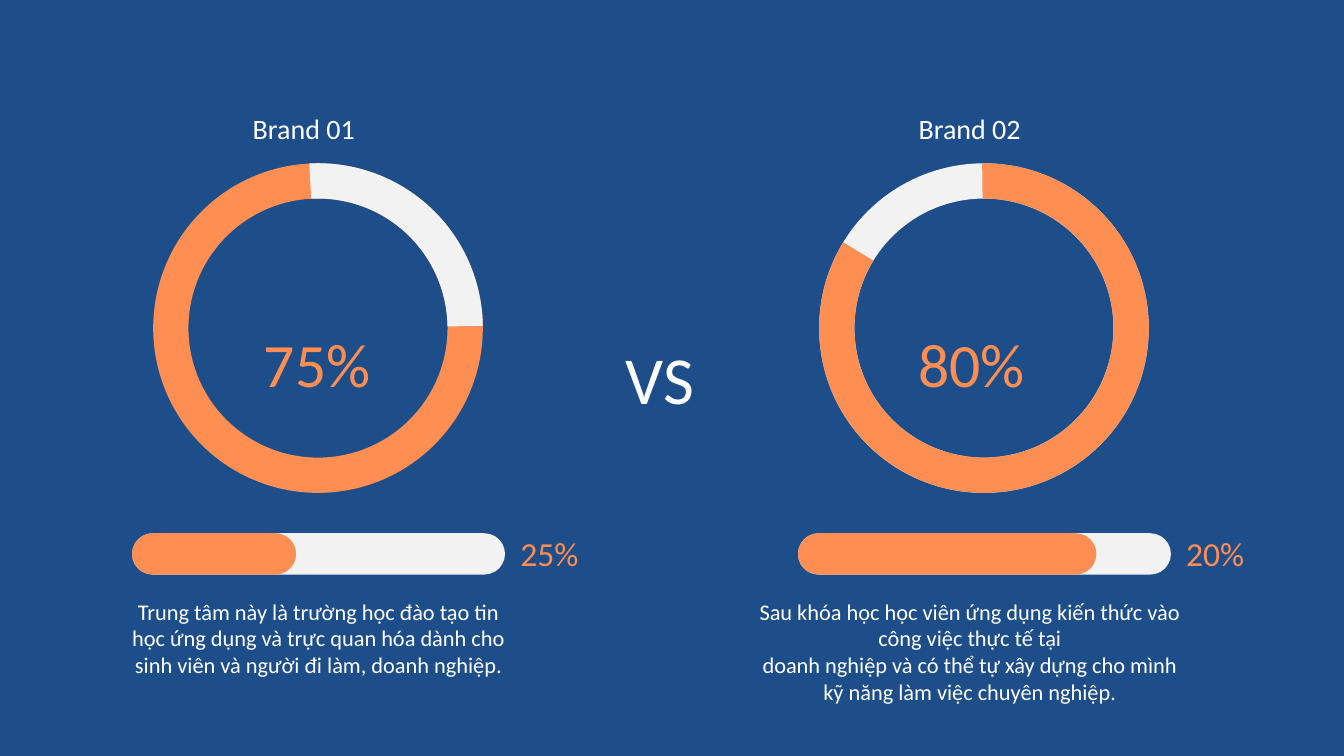
from dataclasses import dataclass

from pptx import Presentation
from pptx.dml.color import RGBColor
from pptx.enum.shapes import MSO_SHAPE as Preset
from pptx.enum.text import MSO_AUTO_SIZE as AutoSize, PP_ALIGN as Align
from pptx.util import Inches, Pt


@dataclass(frozen=True)
class Theme:
    font: str = "Calibri"
    navy: str = "1D4E89"
    orange: str = "FF8E52"
    light: str = "F2F2F2"
    white: str = "FFFFFF"
    body: int = 16
    label: int = 20
    share: int = 24
    figure: int = 44
    versus: int = 48


THEME = Theme()
WIDTH, HEIGHT = Inches(13.33), Inches(7.5)
COLUMNS, ROWS = 80, 45
RING_BAND = 0.107
DEGREE = 0.6  # adjustment units in one degree of a block arc


def write(frame, text, size, color, align=Align.LEFT):
    """Fill a text frame, one paragraph for each line of the text."""
    for index, line in enumerate(text.split("\n")):
        paragraph = frame.paragraphs[0] if index == 0 else frame.add_paragraph()
        paragraph.alignment = align
        run = paragraph.add_run()
        run.text = line
        run.font.name = THEME.font
        run.font.size = Pt(size)
        run.font.color.rgb = RGBColor.from_string(color)


class Board:
    """The current slide, measured in grid columns and rows."""

    def __init__(self, slide, theme):
        self.slide, self.theme = slide, theme
        fill = slide.background.fill
        fill.solid()
        fill.fore_color.rgb = RGBColor.from_string(theme.navy)

    def place(self, column, row, columns, rows):
        return (round(column * WIDTH / COLUMNS), round(row * HEIGHT / ROWS),
                round(columns * WIDTH / COLUMNS), round(rows * HEIGHT / ROWS))

    def shape(self, preset, area, color, adjustments):
        shape = self.slide.shapes.add_shape(preset, *self.place(*area))
        shape.shadow.inherit = False
        shape.fill.solid()
        shape.fill.fore_color.rgb = RGBColor.from_string(color)
        shape.line.fill.background()
        for index, value in enumerate(adjustments):
            shape.adjustments[index] = value

    def text(self, area, text, **style):
        frame = self.slide.shapes.add_textbox(*self.place(*area)).text_frame
        frame.word_wrap = True
        frame.auto_size = AutoSize.SHAPE_TO_FIT_TEXT
        write(frame, text, **style)

    def ring(self, area, base, arc, start, end):
        self.shape(Preset.DONUT, area, base, [RING_BAND])
        self.shape(Preset.BLOCK_ARC, area, arc,
                   [start * DEGREE, end * DEGREE, RING_BAND])

    def progress(self, column, row, columns, rows, share):
        for color, part in ((self.theme.light, 1), (self.theme.orange, share)):
            self.shape(Preset.ROUNDED_RECTANGLE,
                       (column, row, columns * part, rows), color, [0.5])


BRANDS = [
    dict(left=0, name="Brand 01", figure="75%", figure_column=15.12,
         base=THEME.orange, arc=THEME.light, start=266.99, end=359.26,
         filled=0.44, share="25%", about_column=6.54, about_columns=24.84,
         about="Trung tâm này là trường học đào tạo tin học ứng dụng và trực "
               "quan hóa dành cho sinh viên và người đi làm, doanh nghiệp."),
    dict(left=39.64, name="Brand 02", figure="80%", figure_column=14.42,
         base=THEME.light, arc=THEME.orange, start=269.38, end=211.36,
         filled=0.8, share="20%", about_column=4.95, about_columns=26.28,
         about="Sau khóa học học viên ứng dụng kiến thức vào công việc "
               "thực tế tại\n"
               "doanh nghiệp và có thể tự xây dựng cho mình kỹ năng làm việc "
               "chuyên nghiệp."),
]


def add_brand(board, brand):
    theme, left = board.theme, brand["left"]
    # Ring with its name and figure
    board.ring((left + 9.12, 9.72, 19.62, 19.62), brand["base"], brand["arc"],
               brand["start"], brand["end"])
    board.text((left + 14.45, 6.36, 9, 2.64), brand["name"],
               size=theme.label, color=theme.white)
    board.text((left + brand["figure_column"], 19.08, 9.5, 5.04),
               brand["figure"], size=theme.figure, color=theme.orange)
    # Progress bar with its share
    board.progress(left + 7.86, 31.74, 22.2, 2.46, brand["filled"])
    board.text((left + 30.38, 31.44, 5.75, 3), brand["share"],
               size=theme.share, color=theme.orange)
    # Description
    board.text((left + brand["about_column"], 35.28, brand["about_columns"], 7.08),
               brand["about"], size=theme.body, color=theme.white,
               align=Align.CENTER)


def main():
    deck = Presentation()
    deck.slide_width, deck.slide_height = WIDTH, HEIGHT
    board = Board(deck.slides.add_slide(deck.slide_layouts[6]), THEME)
    for brand in BRANDS:
        add_brand(board, brand)
    board.text((36.67, 19.8, 6.66, 5.46), "VS",
               size=THEME.versus, color=THEME.white)
    deck.save("out.pptx")


if __name__ == "__main__":
    main()
